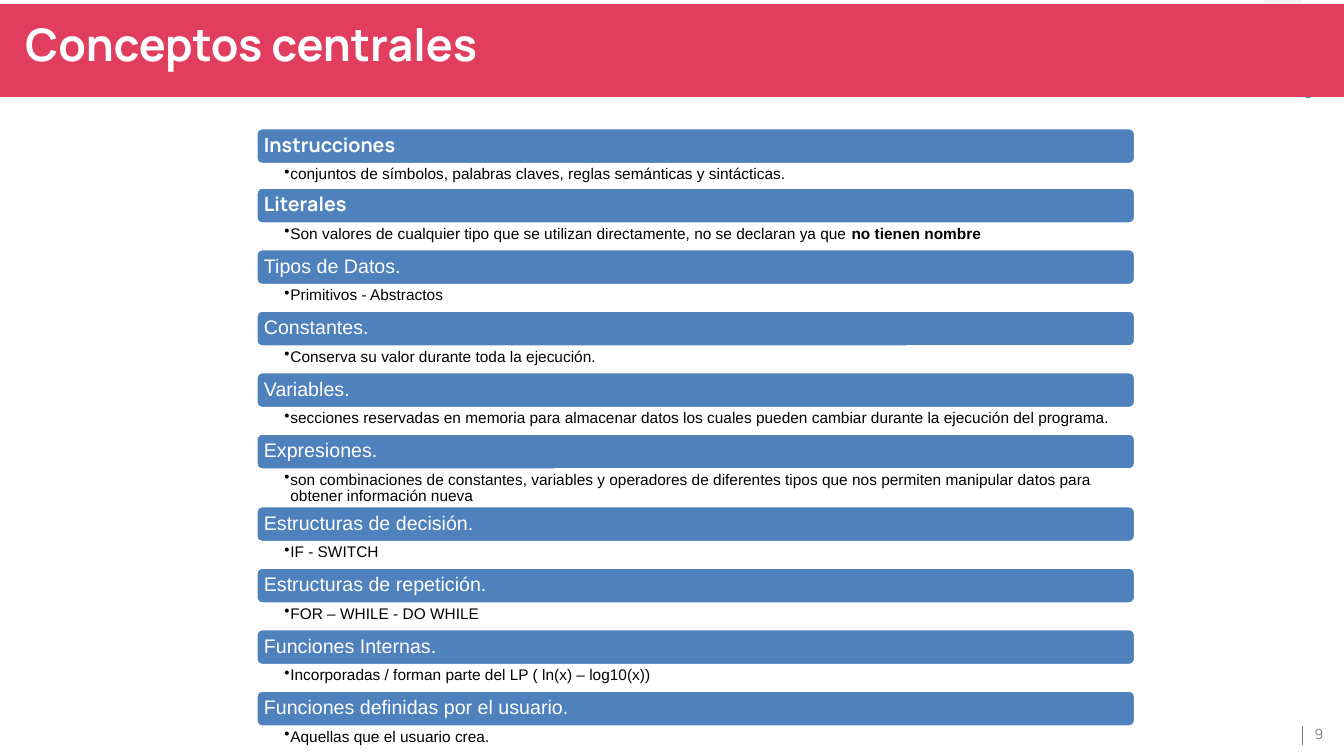
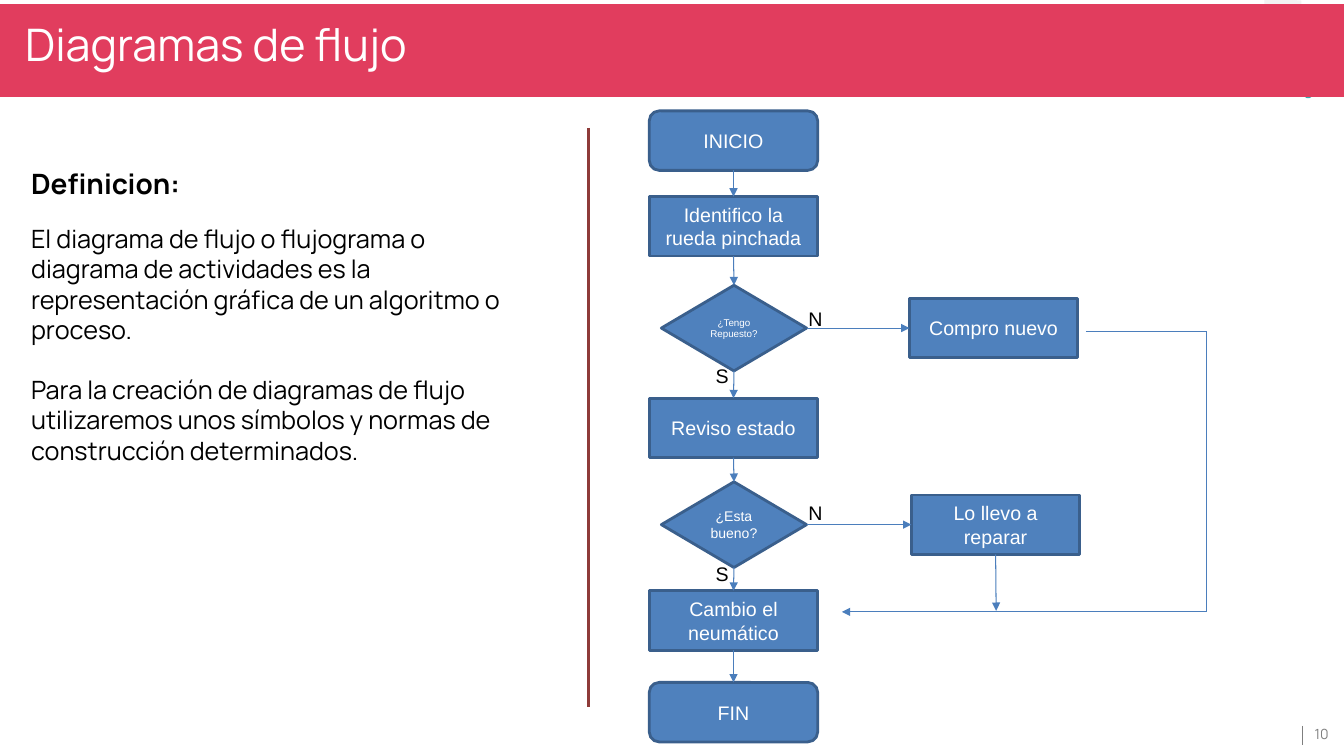
import dataclasses
import itertools

import lxml.etree
import pptx
import pptx.dml.color
import pptx.enum.shapes
import pptx.enum.text
import pptx.oxml.ns
import pptx.util

Inches = pptx.util.Inches
Pt = pptx.util.Pt
Shape = pptx.enum.shapes.MSO_SHAPE
Anchor = pptx.enum.text.MSO_ANCHOR
Align = pptx.enum.text.PP_ALIGN
STRAIGHT = pptx.enum.shapes.MSO_CONNECTOR.STRAIGHT
TOP, LEFT, BOTTOM, RIGHT = range(4)


def rgb(code):
    return pptx.dml.color.RGBColor.from_string(code)


@dataclasses.dataclass(frozen=True)
class Theme:
    white: str = "FFFFFF"
    black: str = "000000"
    grey: str = "7F7F7F"
    pale: str = "F2F2F2"
    teal: str = "32AAAF"
    band: str = "E13D5E"
    blue: str = "4F81BD"
    blue_edge: str = "3A5F8C"
    arrow: str = "4B7EBC"
    divider: str = "8E3B39"
    display: str = "Manrope"
    body: str = "Arial"
    title: int = 32
    heading: int = 20
    prose: int = 18
    label: int = 14
    detail: int = 11
    page: int = 10
    small: int = 7

    def font(self, size, colour, name=None, bold=False):
        return {"size": Pt(size), "name": name or self.body, "bold": bold, "colour": colour}


THEME = Theme()


@dataclasses.dataclass(frozen=True)
class Box:
    x: float
    y: float
    w: float
    h: float

    def lengths(self):
        return [Inches(round(v, 2)) for v in (self.x, self.y, self.w, self.h)]


CONCEPTS = [
    ("Instrucciones", [("conjuntos de símbolos, palabras claves, reglas semánticas y sintácticas.", False)], 0.23),
    ("Literales", [("Son valores de cualquier tipo que se utilizan directamente, no se declaran ya que ", False),
                   ("no tienen nombre", True)], 0.25),
    ("Tipos de Datos.", [("Primitivos - Abstractos", False)], 0.25),
    ("Constantes.", [("Conserva su valor durante toda la ejecución.", False)], 0.25),
    ("Variables.", [("secciones reservadas en memoria para almacenar datos los cuales pueden cambiar "
                     "durante la ejecución del programa.", False)], 0.25),
    ("Expresiones.", [("son combinaciones de constantes, variables y operadores de diferentes tipos que nos "
                       "permiten manipular datos para obtener información nueva", False)], 0.36),
    ("Estructuras de decisión.", [("IF - SWITCH", False)], 0.25),
    ("Estructuras de repetición.", [("FOR – WHILE - DO WHILE", False)], 0.25),
    ("Funciones Internas.", [("Incorporadas / forman parte del LP ( ln(x) – log10(x))", False)], 0.25),
    ("Funciones definidas por el usuario.", [("Aquellas que el usuario crea.", False)], 0.25),
]
DISPLAY_CONCEPTS = {"Instrucciones", "Literales"}

DEFINITION = [
    ("Definicion:", THEME.heading, True, 0),
    ("El diagrama de flujo o flujograma o diagrama de actividades es la representación gráfica "
     "de un algoritmo o proceso.", THEME.prose, False, 16.8),
    ("Para la creación de diagramas de flujo utilizaremos unos símbolos y normas de construcción "
     "determinados.", THEME.prose, False, 21.6),
]


def apply(target, values):
    for name, value in values.items():
        setattr(target, name, value)


def add_run(paragraph, text, font):
    run = paragraph.add_run()
    run.text = text
    apply(run.font, {k: v for k, v in font.items() if k != "colour"})
    run.font.color.rgb = rgb(font["colour"])


def set_frame(frame, insets=(0.1, 0.05, 0.1, 0.05), anchor=Anchor.TOP, wrap=True):
    sides = ("margin_left", "margin_top", "margin_right", "margin_bottom")
    apply(frame, dict(zip(sides, map(Inches, insets)), vertical_anchor=anchor, word_wrap=wrap))
    return frame


def add_text(slide, box, **frame_format):
    return set_frame(slide.shapes.add_textbox(*box.lengths()).text_frame, **frame_format)


def add_block(slide, kind, box, fill, edge=None, rotation=0, adjustments=()):
    block = slide.shapes.add_shape(kind, *box.lengths())
    block.shadow.inherit = False
    block.rotation = rotation
    for index, value in enumerate(adjustments):
        block.adjustments[index] = value
    block.fill.solid()
    block.fill.fore_color.rgb = rgb(fill)
    if edge:
        block.line.color.rgb = rgb(edge)
        block.line.width = Pt(2)
    else:
        block.line.fill.background()
    return block


def add_line(slide, start, end, colour, width, arrow=False):
    line = slide.shapes.add_connector(STRAIGHT, *[Inches(round(v, 2)) for v in (*start, *end)])
    line.line.color.rgb = rgb(colour)
    line.line.width = Pt(width)
    if arrow:
        outline = line.line._get_or_add_ln()
        lxml.etree.SubElement(outline, pptx.oxml.ns.qn("a:tailEnd"), type="triangle")
    lxml.etree.SubElement(line._element.spPr, pptx.oxml.ns.qn("a:effectLst"))
    return line


def add_bullet(paragraph, colour):
    properties = paragraph._p.get_or_add_pPr()
    properties.set("marL", str(Inches(0.06)))
    properties.set("indent", str(-Inches(0.06)))
    bullet_colour = lxml.etree.SubElement(properties, pptx.oxml.ns.qn("a:buClr"))
    lxml.etree.SubElement(bullet_colour, pptx.oxml.ns.qn("a:srgbClr"), val=colour)
    lxml.etree.SubElement(properties, pptx.oxml.ns.qn("a:buChar"), char="•")


def add_page(deck, title, number, bold):
    slide = deck.slides.add_slide(deck.slide_layouts[6])
    add_block(slide, Shape.BLOCK_ARC, Box(12.54, -0.79, 1.59, 1.59), THEME.pale,
              rotation=270, adjustments=(108, 162.19, 0.23))
    add_block(slide, Shape.ROUND_2_SAME_RECTANGLE, Box(13.11, 0.45, 0.09, 0.6), THEME.teal,
              rotation=225, adjustments=(0.5, 0))
    add_line(slide, (12.92, 7.2), (12.92, 7.39), THEME.grey, 1)
    page = add_text(slide, Box(13, 7.14, 0.36, 0.28), insets=(0.04,) * 4, anchor=Anchor.MIDDLE)
    add_run(page.paragraphs[0], str(number), THEME.font(THEME.page, THEME.grey, THEME.display))
    add_block(slide, Shape.RECTANGLE, Box(-0.03, 0.04, 13.39, 0.92), THEME.band)
    heading = add_text(slide, Box(0.12, 0.04, 12.52, 0.64), insets=(0.13,) * 4)
    add_run(heading.paragraphs[0], title, THEME.font(THEME.title, THEME.white, THEME.display, bold))
    return slide


def add_concept_list(slide, box):
    bar_height = 0.36
    top = box.y
    for concept, details, detail_height in CONCEPTS:
        bar = add_block(slide, Shape.ROUNDED_RECTANGLE, Box(box.x, top, box.w, bar_height),
                        THEME.blue, THEME.white)
        name = set_frame(bar.text_frame, (0.06,) * 4, Anchor.MIDDLE).paragraphs[0]
        apply(name, {"alignment": Align.LEFT, "line_spacing": 0.9})
        special = concept in DISPLAY_CONCEPTS
        add_run(name, concept, THEME.font(THEME.label, THEME.white,
                                          THEME.display if special else THEME.body, special))
        top += bar_height
        detail = add_text(slide, Box(box.x, top, box.w, detail_height),
                          insets=(0.28, 0.02, 0.11, 0.02)).paragraphs[0]
        add_bullet(detail, THEME.black)
        apply(detail, {"level": 1, "line_spacing": 0.9})
        for text, bold in details:
            add_run(detail, text, THEME.font(THEME.detail, THEME.black, bold=bold))
        top += detail_height


def add_definition(slide, box):
    frame = add_text(slide, box)
    for index, (text, size, bold, gap) in enumerate(DEFINITION):
        paragraph = frame.add_paragraph() if index else frame.paragraphs[0]
        if gap:
            paragraph.space_before = Pt(gap)
        add_run(paragraph, text, THEME.font(size, THEME.black, THEME.display, bold))


def add_flowchart(slide, box):
    step_size, decision_size = (1.67, 0.59), (1.44, 0.85)
    main, side = 0.85, 3.45

    def step(kind, text, centre, top, size=THEME.label):
        w, h = decision_size if kind == Shape.FLOWCHART_DECISION else step_size
        block = add_block(slide, kind, Box(box.x + centre - w / 2, box.y + top, w, h),
                          THEME.blue, THEME.blue_edge)
        paragraph = set_frame(block.text_frame, anchor=Anchor.MIDDLE).paragraphs[0]
        paragraph.alignment = Align.CENTER
        add_run(paragraph, text, THEME.font(size, THEME.white))
        return block

    def flow(start, end, arrow=True):
        points = [(box.x + x, box.y + y) for x, y in (start, end)]
        return add_line(slide, *points, THEME.arrow, 0.75, arrow)

    def join(source, source_side, target, target_side):
        arrow = flow((0, 0), (1, 1))
        arrow.begin_connect(source, source_side)
        arrow.end_connect(target, target_side)

    start = step(Shape.FLOWCHART_ALTERNATE_PROCESS, "INICIO", main, 0)
    identify = step(Shape.FLOWCHART_PROCESS, "Identifico la rueda pinchada", main, 0.85)
    has_spare = step(Shape.FLOWCHART_DECISION, "¿Tengo Repuesto?", main, 1.73, THEME.small)
    review = step(Shape.FLOWCHART_PROCESS, "Reviso estado", main, 2.85)
    is_good = step(Shape.FLOWCHART_DECISION, "¿Esta bueno?", main, 3.68, THEME.page)
    change = step(Shape.FLOWCHART_PROCESS, "Cambio el neumático", main, 4.76)
    finish = step(Shape.FLOWCHART_ALTERNATE_PROCESS, "FIN", main, 5.67)
    buy = step(Shape.FLOWCHART_PROCESS, "Compro nuevo", side - 0.03, 1.86)
    repair = step(Shape.FLOWCHART_PROCESS, "Lo llevo a reparar", side, 3.81)

    for upper, lower in itertools.pairwise([start, identify, has_spare, review, is_good, change, finish]):
        join(upper, BOTTOM, lower, TOP)
    for decision, remedy in ((has_spare, buy), (is_good, repair)):
        join(decision, RIGHT, remedy, LEFT)

    detour = [(4.34, 2.19), (5.54, 2.19), (5.54, 4.97), (1.92, 4.97)]
    for index, (corner, following) in enumerate(itertools.pairwise(detour)):
        flow(corner, following, arrow=index == 2)
    flow((side, 4.4), (side, 4.96)).begin_connect(repair, BOTTOM)

    for answer, x, y in (("N", 1.49, 1.9), ("N", 1.49, 3.82), ("S", 0.57, 2.46), ("S", 0.57, 4.43)):
        frame = add_text(slide, Box(box.x + x, box.y + y, 0.34, 0.34), wrap=False)
        add_run(frame.paragraphs[0], answer, THEME.font(THEME.label, THEME.black))


def main():
    deck = pptx.Presentation()
    apply(deck, {"slide_width": Inches(13.33), "slide_height": Inches(7.5)})
    concepts = add_page(deck, "Conceptos centrales", 9, bold=True)
    add_concept_list(concepts, Box(2.54, 1.27, 8.72, 6.2))
    diagrams = add_page(deck, "Diagramas de flujo", 10, bold=False)
    add_definition(diagrams, Box(0.21, 1.6, 5.12, 3.1))
    add_flowchart(diagrams, Box(6.43, 1.1, 5.54, 6.26))
    add_line(diagrams, (5.84, 1.27), (5.84, 7.01), THEME.divider, 2)
    deck.save("out.pptx")


if __name__ == "__main__":
    main()
